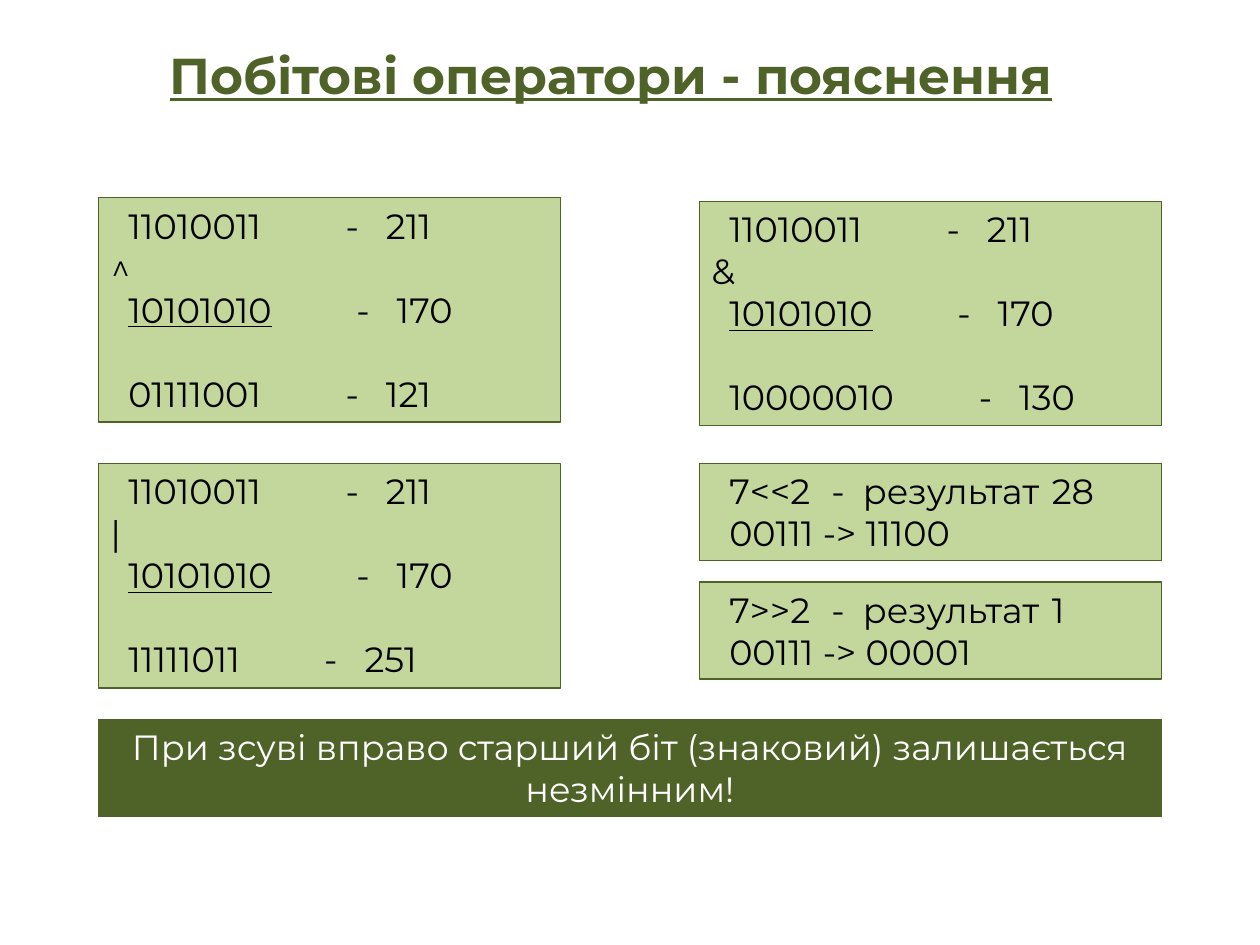
from dataclasses import dataclass

from lxml.etree import SubElement
from pptx import Presentation
from pptx.dml.color import RGBColor
from pptx.enum.shapes import MSO_SHAPE
from pptx.enum.text import MSO_ANCHOR, PP_ALIGN
from pptx.oxml.ns import qn
from pptx.util import Inches, Pt


@dataclass(frozen=True)
class Theme:
    font: str = "Montserrat"
    dark: RGBColor = RGBColor(0x4F, 0x62, 0x28)
    light: RGBColor = RGBColor(0xC3, 0xD6, 0x9B)
    ink: RGBColor = RGBColor(0, 0, 0)
    paper: RGBColor = RGBColor(255, 255, 255)
    title_size: float = 28.8
    body_size: float = 20
    outline: float = 0.75


THEME = Theme()

TITLE = "Побітові оператори - пояснення"
OPERANDS = [("11010011", 211), ("10101010", 170)]
# column, top, operator, result
OPERATIONS = [
    (0, 1.57, "^", ("01111001", 121)),
    (1, 1.60, "&", ("10000010", 130)),
    (0, 3.68, "|", ("11111011", 251)),
]
# column, top, expression, result, bits before and after
SHIFTS = [
    (1, 3.68, "7<<2", 28, "00111 -> 11100"),
    (1, 4.62, "7>>2", 1, "00111 -> 00001"),
]
REMARK = "При зсуві вправо старший біт (знаковий) залишається незмінним!"

SLIDE_W, SLIDE_H = 10, 7.5
MARGIN = 0.78
CONTENT_W = SLIDE_W - 2 * MARGIN
CARD_W = 3.67
COLUMNS = [MARGIN, SLIDE_W - MARGIN - CARD_W]
CARD_H, STRIP_H = 1.78, 0.77
REMARK_TOP = 5.71

INDENT = 0.14
SHIFT_STOPS = [INDENT, 0.95, 1.2, 2.7]


def bit_stops(bits):
    """Tab stops after a binary number: every narrow digit 1 pulls them left."""
    dash = 1.95 - 0.085 * (bits.count("1") - 4)
    return [INDENT, dash, dash + 0.32]


def add_box(slide, left, top, width, height, fill):
    box = slide.shapes.add_shape(MSO_SHAPE.RECTANGLE, Inches(left), Inches(top),
                                 Inches(width), Inches(height))
    box.shadow.inherit = False
    box.fill.solid()
    box.fill.fore_color.rgb = fill
    box.line.color.rgb = THEME.dark
    box.line.width = Pt(THEME.outline)
    box.text_frame.word_wrap = True
    box.text_frame.vertical_anchor = MSO_ANCHOR.TOP
    return box.text_frame


def add_line(frame, parts, stops=(), color=THEME.ink, size=THEME.body_size,
             align=PP_ALIGN.LEFT):
    """Write (text, underlined) parts as the next paragraph of the frame."""
    first = frame.paragraphs[0]
    line = first if not first.runs else frame.add_paragraph()
    line.alignment = align
    if stops:
        tabs = SubElement(line._p.get_or_add_pPr(), qn("a:tabLst"))
        for stop in stops:
            SubElement(tabs, qn("a:tab"), pos=str(Inches(stop)), algn="l")
    line.font.name = THEME.font
    line.font.size = Pt(size)
    line.font.color.rgb = color
    for text, underlined in parts:
        run = line.add_run()
        run.text = text
        if underlined:
            run.font.underline = True
    return line


def add_number(frame, bits, value, underlined=False):
    parts = [("\t", False), (bits, underlined), (f"\t-\t{value}", False)]
    return add_line(frame, parts, bit_stops(bits))


def main():
    deck = Presentation()
    deck.slide_width, deck.slide_height = Inches(SLIDE_W), Inches(SLIDE_H)
    slide = deck.slides.add_slide(deck.slide_layouts[6])

    heading = slide.shapes.add_textbox(Inches(1.02), Inches(0.16),
                                       Inches(7.66), Inches(0.86)).text_frame
    heading.word_wrap = True
    heading.vertical_anchor = MSO_ANCHOR.MIDDLE
    title = add_line(heading, [(TITLE, True)], color=THEME.dark,
                     size=THEME.title_size, align=PP_ALIGN.CENTER)
    title.font.bold = True

    for column, top, operator, result in OPERATIONS:
        card = add_box(slide, COLUMNS[column], top, CARD_W, CARD_H, THEME.light)
        add_number(card, *OPERANDS[0])
        add_line(card, [(operator, False)])
        add_number(card, *OPERANDS[1], underlined=True)
        add_number(card, *result).space_before = Pt(THEME.body_size * 1.2)

    for column, top, expression, result, bits in SHIFTS:
        strip = add_box(slide, COLUMNS[column], top, CARD_W, STRIP_H, THEME.light)
        add_line(strip, [(f"\t{expression}\t-\tрезультат\t{result}", False)], SHIFT_STOPS)
        add_line(strip, [(f"\t{bits}", False)], SHIFT_STOPS[:1])

    remark = add_box(slide, MARGIN, REMARK_TOP, CONTENT_W, STRIP_H, THEME.dark)
    add_line(remark, [(REMARK, False)], color=THEME.paper, align=PP_ALIGN.CENTER)

    deck.save("out.pptx")


if __name__ == "__main__":
    main()
